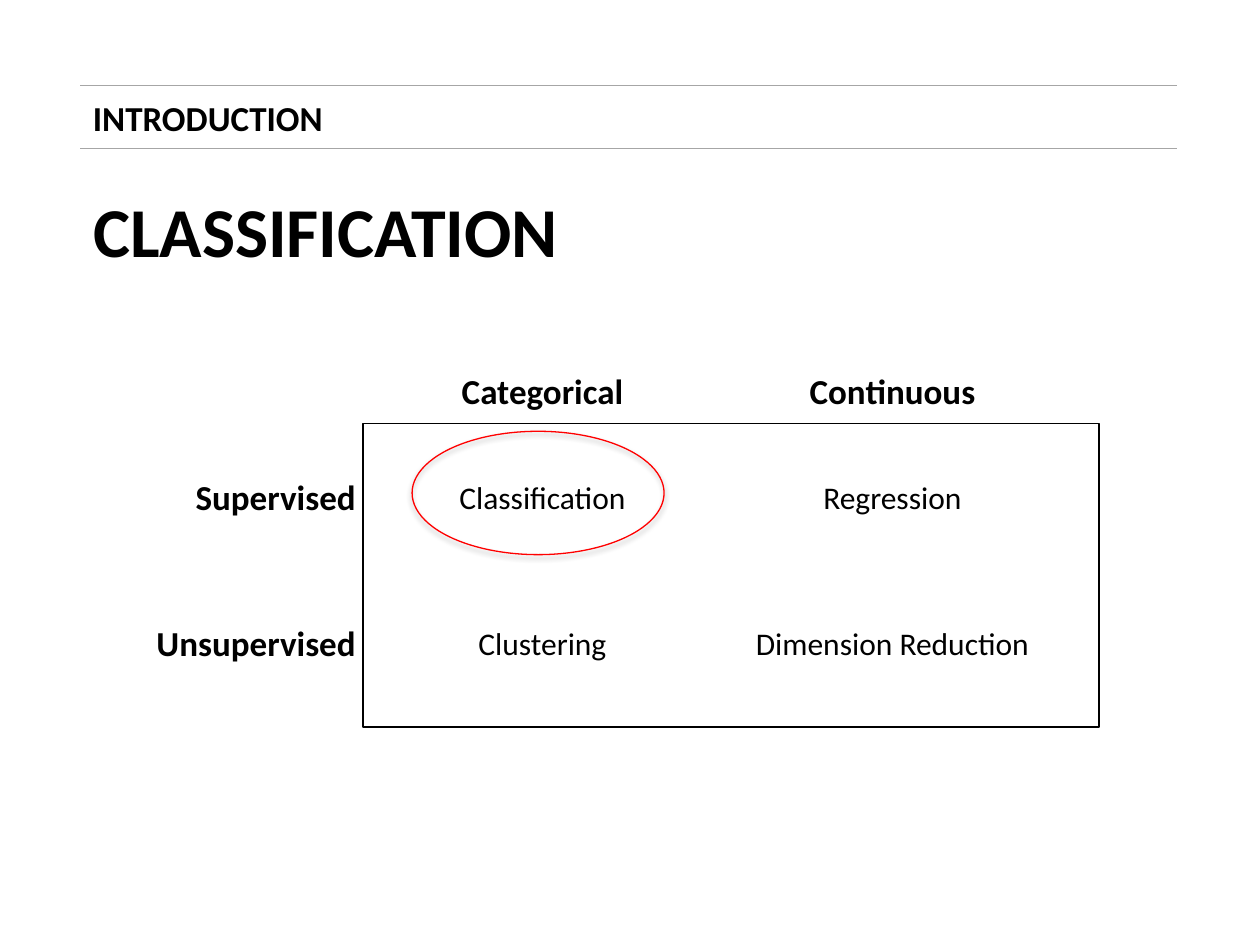
from pptx import Presentation
from pptx.dml.color import RGBColor
from pptx.enum.shapes import MSO_CONNECTOR, MSO_SHAPE
from pptx.enum.text import MSO_ANCHOR, MSO_AUTO_SIZE, PP_ALIGN
from pptx.oxml import parse_xml
from pptx.oxml.ns import nsdecls
from pptx.util import Pt

# Content: each label comes with the width of its box
SECTION = ("INTRODUCTION", 147)
TITLE = ("CLASSIFICATION", 283)
COLUMNS = [("Categorical", 107), ("Continuous", 110)]
ROWS = [
    (("Supervised", 107), [("Classification", 111), ("Regression", 94)]),
    (("Unsupervised", 130), [("Clustering", 89), ("Dimension Reduction", 173)]),
]

THEME = {
    "font": "Calibri",
    "text": RGBColor(0, 0, 0),
    "rule": RGBColor(0xA6, 0xA6, 0xA6),
    "highlight": RGBColor(0xFF, 0, 0),
    "title": 40,
    "label": 20,
    "body": 18,
    "line": 0.75,
}

# Layout
LEFT, RIGHT = 46, 672.5
RULE_TOPS = (49, 85)
TITLE_TOP, TITLE_HEIGHT = 103.5, 55.5
MATRIX = (207.5, 242, 420.5, 173.5)
LABEL_HEIGHT = 31.5
LABEL_RIGHT = 210.5
HEADER_MIDDLE = 223.2
COLUMN_CENTRES = (310, 510)
ROW_MIDDLES = (283.7, 367.2)
HIGHLIGHT_SIZE = (144, 70.5)
HIGHLIGHT_SHIFT = (-2.5, -2)

EFFECTS = f"<a:effectLst {nsdecls('a')}>%s</a:effectLst>"
SOFT_SHADOW = (
    '<a:outerShdw blurRad="40000" dist="23000" dir="5400000" rotWithShape="0">'
    '<a:srgbClr val="000000"><a:alpha val="35000"/></a:srgbClr></a:outerShdw>'
)


def set_text(holder, text, size, bold, align):
    frame = holder.text_frame
    frame.word_wrap = False
    frame.auto_size = MSO_AUTO_SIZE.NONE
    frame.vertical_anchor = MSO_ANCHOR.MIDDLE
    paragraph = frame.paragraphs[0]
    paragraph.alignment = align
    run = paragraph.add_run()
    run.text = text
    run.font.name = THEME["font"]
    run.font.size = Pt(size)
    run.font.bold = bold
    run.font.color.rgb = THEME["text"]


def add_label(slide, label, left, middle, size, bold=True, align=PP_ALIGN.CENTER):
    text, width = label
    holder = slide.shapes.add_textbox(
        Pt(left), Pt(middle - LABEL_HEIGHT / 2), Pt(width), Pt(LABEL_HEIGHT))
    set_text(holder, text, size, bold, align)


def add_outline(slide, preset, box, color, effect=""):
    outline = slide.shapes.add_shape(preset, *map(Pt, box))
    outline.fill.background()
    outline.line.color.rgb = color
    outline.line.width = Pt(THEME["line"])
    outline._element.spPr.append(parse_xml(EFFECTS % effect))


def main():
    prs = Presentation()
    prs.slide_width, prs.slide_height = Pt(720), Pt(540)
    slide = prs.slides.add_slide(prs.slide_layouts[5])

    # Section heading between two rules
    for top in RULE_TOPS:
        rule = slide.shapes.add_connector(
            MSO_CONNECTOR.STRAIGHT, Pt(LEFT), Pt(top), Pt(RIGHT), Pt(top))
        rule.line.color.rgb = THEME["rule"]
        rule.line.width = Pt(THEME["line"])
        rule._element.spPr.append(parse_xml(EFFECTS % ""))
    add_label(slide, SECTION, LEFT, sum(RULE_TOPS) / 2, THEME["label"],
              align=PP_ALIGN.LEFT)

    # Title
    text, width = TITLE
    title = slide.shapes.title
    title.left, title.top = Pt(LEFT), Pt(TITLE_TOP)
    title.width, title.height = Pt(width), Pt(TITLE_HEIGHT)
    set_text(title, text, THEME["title"], True, PP_ALIGN.LEFT)

    # Matrix frame and column headers
    add_outline(slide, MSO_SHAPE.RECTANGLE, MATRIX, THEME["text"])
    for header, centre in zip(COLUMNS, COLUMN_CENTRES):
        add_label(slide, header, centre - header[1] / 2, HEADER_MIDDLE, THEME["label"])

    # Row labels and methods
    for (row_label, methods), middle in zip(ROWS, ROW_MIDDLES):
        add_label(slide, row_label, LABEL_RIGHT - row_label[1], middle,
                  THEME["label"], align=PP_ALIGN.RIGHT)
        for method, centre in zip(methods, COLUMN_CENTRES):
            add_label(slide, method, centre - method[1] / 2, middle,
                      THEME["body"], bold=False)

    # Highlight around the first method
    first_cell = (COLUMN_CENTRES[0], ROW_MIDDLES[0])
    corner = [centre + shift - extent / 2 for centre, shift, extent
              in zip(first_cell, HIGHLIGHT_SHIFT, HIGHLIGHT_SIZE)]
    add_outline(slide, MSO_SHAPE.OVAL, (*corner, *HIGHLIGHT_SIZE),
                THEME["highlight"], SOFT_SHADOW)

    prs.save("out.pptx")


if __name__ == "__main__":
    main()
